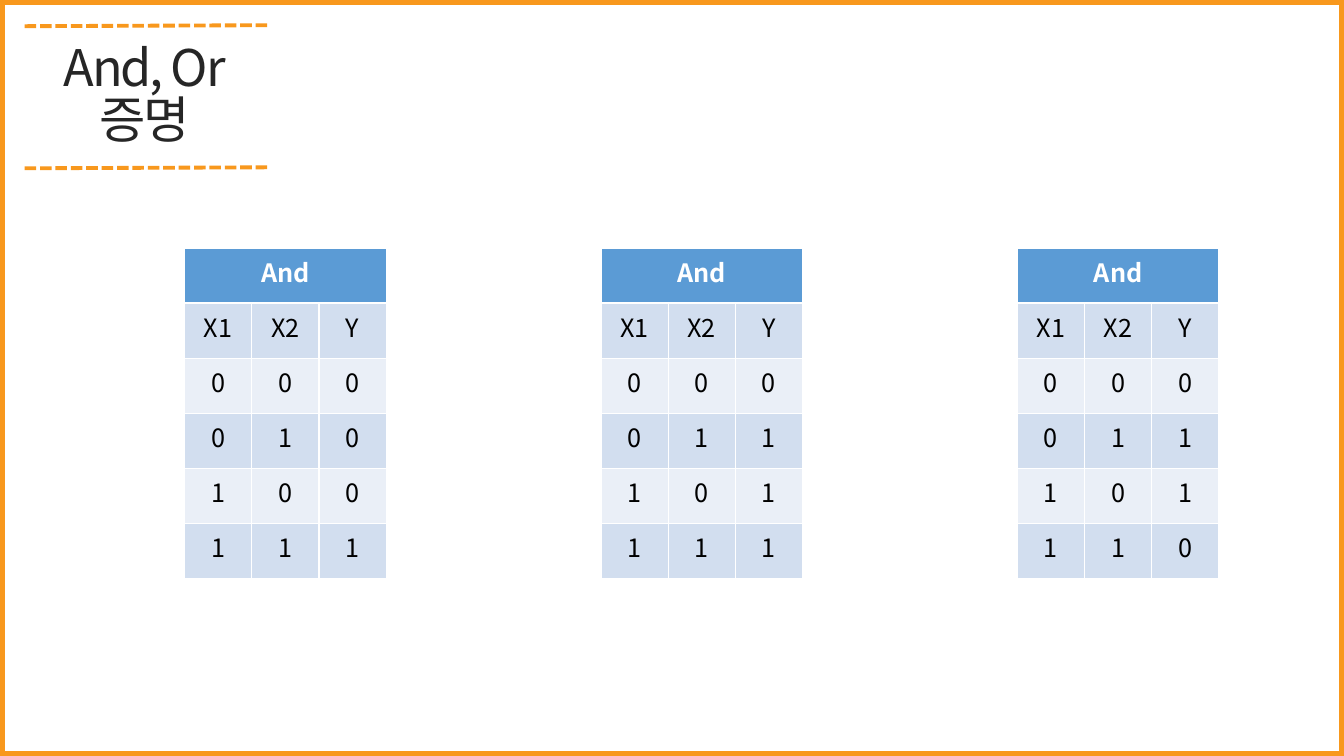
from pptx import Presentation
from pptx.dml.color import RGBColor
from pptx.enum.dml import MSO_LINE
from pptx.enum.shapes import MSO_CONNECTOR, MSO_SHAPE
from pptx.enum.text import MSO_ANCHOR, PP_ALIGN
from pptx.oxml.ns import qn
from pptx.util import Inches, Pt
from lxml import etree

TITLE = ["And, Or", "증명"]
HEADINGS = ["X1", "X2", "Y"]
INPUTS = [(0, 0), (0, 1), (1, 0), (1, 1)]
TRUTH_TABLES = [
    ("And", [0, 0, 0, 1]),
    ("And", [0, 1, 1, 1]),
    ("And", [0, 1, 1, 0]),
]

FONT = "Noto Sans CJK KR"
ORANGE = RGBColor(0xF8, 0x98, 0x1D)
CHARCOAL = RGBColor(0x26, 0x26, 0x26)
BLACK = RGBColor(0, 0, 0)
WHITE = RGBColor(0xFF, 0xFF, 0xFF)
BLUE = RGBColor(0x5B, 0x9B, 0xD5)
BANDS = [RGBColor(0xEA, 0xEF, 0xF7), RGBColor(0xD2, 0xDE, 0xEF)]

TABLE_LEFT, TABLE_TOP, TABLE_STEP = 1.83, 2.46, 4.13
TABLE_WIDTH, TABLE_HEIGHT = 2, 3.28
RULE_TOPS = [1.66, 0.25]


def style(para, size, color, bold=False):
    """Centre a paragraph and set its font."""
    para.alignment = PP_ALIGN.CENTER
    font = para.font
    font.name, font.size, font.bold = FONT, Pt(size), bold
    font.color.rgb = color
    for tag in ("a:ea", "a:cs"):
        etree.SubElement(font._element, qn(tag), typeface=FONT)


def add_frame(page):
    """Draw the border and the dashed rules around the title."""
    frame = page.shapes.add_shape(
        MSO_SHAPE.RECTANGLE, Inches(0.02), Inches(0.02), Inches(13.29), Inches(7.46))
    frame.shadow.inherit = False
    frame.fill.background()
    frame.line.color.rgb = ORANGE
    frame.line.width = Pt(3.75)
    for top in RULE_TOPS:
        rule = page.shapes.add_connector(
            MSO_CONNECTOR.STRAIGHT, Inches(2.65), Inches(top), Inches(0.23), Inches(top + 0.01))
        rule.line.color.rgb = ORANGE
        rule.line.width = Pt(2.75)
        rule.line.dash_style = MSO_LINE.SQUARE_DOT
        etree.SubElement(rule._element.spPr, qn("a:effectLst"))


def add_title(page):
    """Fill and place the title."""
    box = page.shapes.title
    box.left, box.top = Inches(0.15), Inches(0.31)
    box.width, box.height = Inches(2.57), Inches(1.31)
    frame = box.text_frame
    frame.text = "\n".join(TITLE)
    frame.vertical_anchor = MSO_ANCHOR.MIDDLE
    for para in frame.paragraphs:
        style(para, 36, CHARCOAL)
        para.line_spacing = 0.85
        for span in para.runs:
            span._r.get_or_add_rPr().set("spc", "-150")


def add_truth_table(page, left, name, outputs):
    """Add one truth table with a merged heading."""
    rows = [[name, "", ""], HEADINGS]
    rows += [[*pair, output] for pair, output in zip(INPUTS, outputs)]
    table = page.shapes.add_table(
        len(rows), len(HEADINGS), Inches(left), Inches(TABLE_TOP),
        Inches(TABLE_WIDTH), Inches(TABLE_HEIGHT)).table
    for r, values in enumerate(rows):
        for c, value in enumerate(values):
            cell = table.cell(r, c)
            cell.text = str(value)
            cell.fill.solid()
            cell.fill.fore_color.rgb = BANDS[r % 2] if r else BLUE
            style(cell.text_frame.paragraphs[0], 18, BLACK if r else WHITE, bold=r == 0)
    table.cell(0, 0).merge(table.cell(0, len(HEADINGS) - 1))


deck = Presentation()
deck.slide_width, deck.slide_height = Inches(13.33), Inches(7.5)
page = deck.slides.add_slide(deck.slide_layouts.get_by_name("Title Only"))
add_frame(page)
add_title(page)
for index, (name, outputs) in enumerate(TRUTH_TABLES):
    add_truth_table(page, TABLE_LEFT + index * TABLE_STEP, name, outputs)
deck.save("out.pptx")
